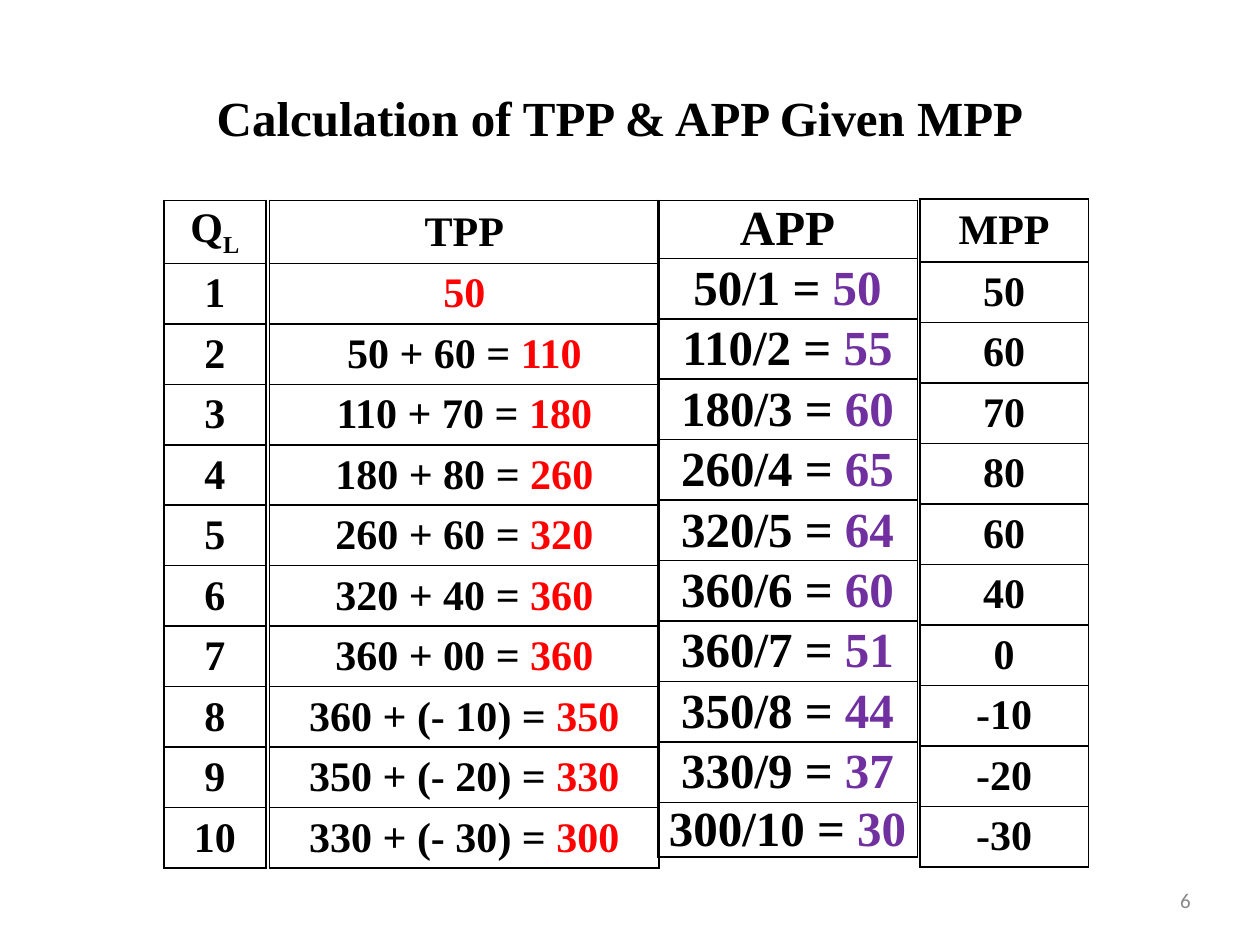
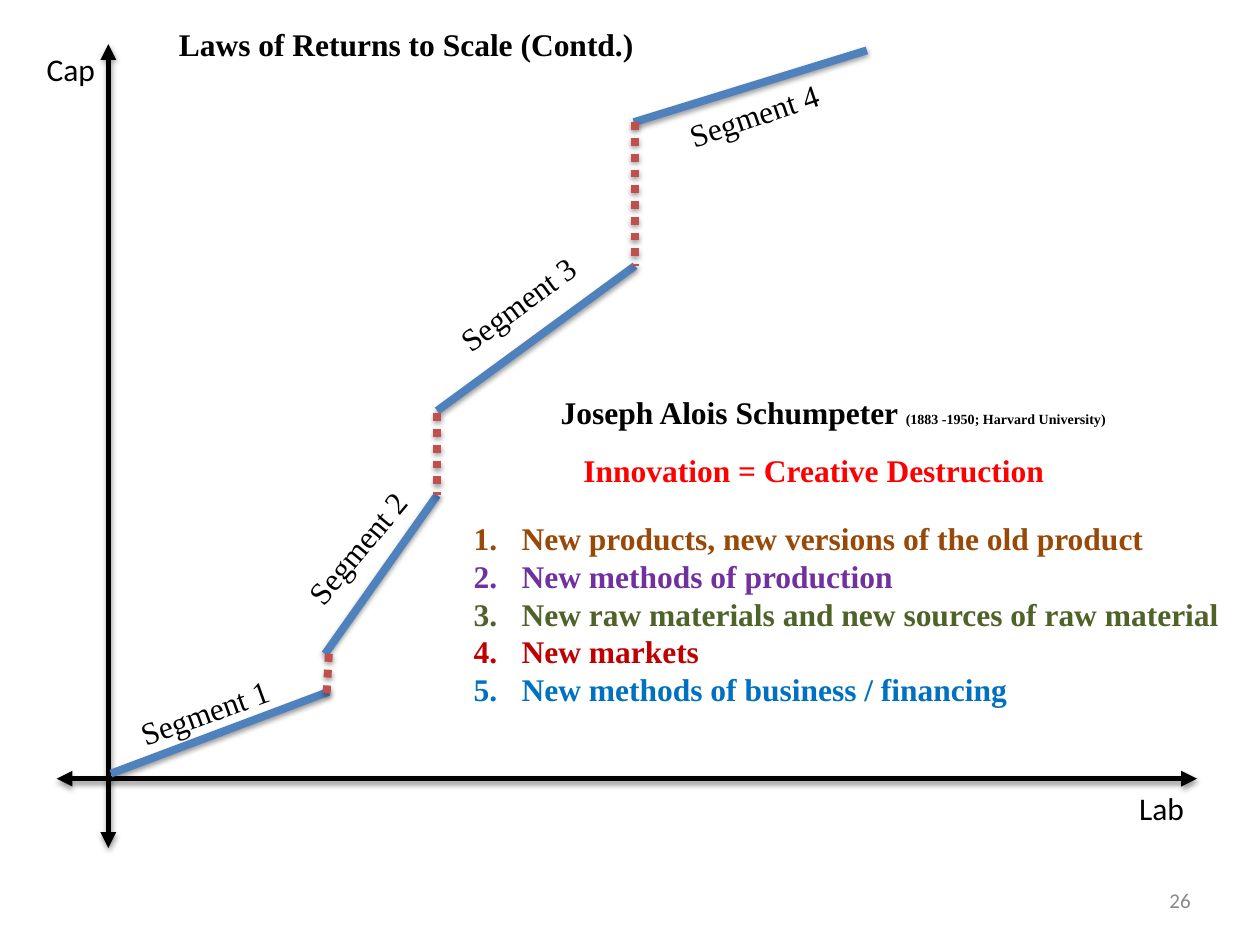
from itertools import accumulate

from lxml.etree import SubElement
from pptx import Presentation
from pptx.dml.color import RGBColor
from pptx.enum.dml import MSO_LINE
from pptx.enum.shapes import MSO_CONNECTOR
from pptx.enum.text import MSO_ANCHOR, MSO_AUTO_SIZE, PP_ALIGN
from pptx.oxml import parse_xml
from pptx.oxml.ns import nsdecls, qn
from pptx.util import Emu, Pt

SCALE = 9144  # EMU per px, 100 px to the inch
SERIF, SANS = "Times New Roman", "Calibri"
BLACK, GREY, RED, PURPLE = "000000", "898989", "FF0000", "7030A0"
BLUE, BRICK = "4F81BD", "C0504D"
SHADOW = (
    f'<a:effectLst {nsdecls("a")}><a:outerShdw blurRad="38100" dist="20320" '
    'dir="5400000" rotWithShape="0"><a:srgbClr val="000000">'
    '<a:alpha val="38000"/></a:srgbClr></a:outerShdw></a:effectLst>'
)


def px(length):
    return Emu(length * SCALE)


def color(hex_string):
    return RGBColor.from_string(hex_string)


class Deck:
    """Holds the shared style and the current slide."""

    def __init__(self):
        self.presentation = Presentation()
        self.presentation.slide_width = px(1000)
        self.presentation.slide_height = px(750)
        self.slide = None

    def start_slide(self, title, box, size, number):
        layout = self.presentation.slide_layouts[5]
        self.slide = self.presentation.slides.add_slide(layout)
        shape = self.slide.shapes.title
        shape.left, shape.top, shape.width, shape.height = map(px, box)
        self.set_frame(shape.text_frame, MSO_ANCHOR.MIDDLE)
        self.add_runs(shape.text_frame.paragraphs[0], [(title, BLACK)], size,
                      align=PP_ALIGN.CENTER)
        self.text(str(number), (921, 700, 29, 29), 12, GREY, SANS, False,
                  align=PP_ALIGN.RIGHT, anchor=MSO_ANCHOR.MIDDLE)

    def set_frame(self, text_frame, anchor):
        text_frame.word_wrap = True
        text_frame.auto_size = MSO_AUTO_SIZE.NONE
        text_frame.vertical_anchor = anchor
        text_frame.margin_left = text_frame.margin_right = px(5)
        text_frame.margin_top = text_frame.margin_bottom = px(5)

    def add_runs(self, paragraph, parts, size, font=SERIF, bold=True,
                 align=PP_ALIGN.LEFT):
        """Each part is a text and its colour."""
        paragraph.alignment = align
        for words, hex_string in parts:
            run = paragraph.add_run()
            run.text = words
            run.font.name = font
            run.font.size = Pt(size)
            run.font.bold = bold
            run.font.color.rgb = color(hex_string)

    def text(self, words, box, size=18, hex_string=BLACK, font=SERIF,
             bold=True, align=PP_ALIGN.LEFT, anchor=MSO_ANCHOR.TOP, rotation=0):
        shape = self.slide.shapes.add_textbox(*map(px, box))
        shape.rotation = rotation
        self.set_frame(shape.text_frame, anchor)
        self.add_runs(shape.text_frame.paragraphs[0], [(words, hex_string)],
                      size, font, bold, align)
        return shape

    def numbered_list(self, items, box):
        shape = self.slide.shapes.add_textbox(*map(px, box))
        text_frame = shape.text_frame
        self.set_frame(text_frame, MSO_ANCHOR.TOP)
        for index, item in enumerate(items):
            paragraph = (text_frame.add_paragraph() if index
                         else text_frame.paragraphs[0])
            properties = paragraph._p.get_or_add_pPr()
            properties.set("marL", str(px(38)))
            properties.set("indent", str(px(-38)))
            SubElement(properties, qn("a:buFont"), typeface="+mj-lt")
            SubElement(properties, qn("a:buAutoNum"), type="arabicPeriod")
            self.add_runs(paragraph, [item], 18)

    def line(self, start, end, hex_string, width, dotted=False, arrows=False):
        connector = self.slide.shapes.add_connector(
            MSO_CONNECTOR.STRAIGHT, *map(px, start + end))
        connector.line.color.rgb = color(hex_string)
        connector.line.width = Pt(width)
        if dotted:
            connector.line.dash_style = MSO_LINE.ROUND_DOT
        if arrows:
            outline = connector.line._get_or_add_ln()
            for tag in ("a:headEnd", "a:tailEnd"):
                SubElement(outline, qn(tag), type="triangle")
        connector._element.spPr.append(parse_xml(SHADOW))

    def column_table(self, rows, left, top, width, heights, size):
        frame = self.slide.shapes.add_table(
            len(rows), 1, px(left), px(top), px(width), px(sum(heights)))
        table = frame.table
        table.first_row = table.horz_banding = False
        table.columns[0].width = px(width)
        for index, (parts, height) in enumerate(zip(rows, heights)):
            table.rows[index].height = px(height)
            cell = table.cell(index, 0)
            cell.fill.background()
            cell.vertical_anchor = MSO_ANCHOR.MIDDLE
            cell.margin_left = cell.margin_right = 0
            cell.margin_top = cell.margin_bottom = 0
            self.add_runs(cell.text_frame.paragraphs[0], parts, size,
                          align=PP_ALIGN.CENTER)
            self.border(cell)
        return table

    def border(self, cell):
        properties = cell._tc.get_or_add_tcPr()
        for position, side in enumerate("LRTB"):
            properties.insert(position, parse_xml(
                f'<a:ln{side} {nsdecls("a")} w="12700"><a:solidFill>'
                f'<a:srgbClr val="{BLACK}"/></a:solidFill></a:ln{side}>'))


def signed(value):
    return f"(- {-value})" if value < 0 else f"{value:02d}"


def product_slide(deck):
    deck.start_slide("Calculation of TPP & APP Given MPP",
                     (67, 58, 850, 70), 28, 6)

    # Totals and averages follow from the marginal products
    marginal = [50, 60, 70, 80, 60, 40, 0, -10, -20, -30]
    totals = list(accumulate(marginal))
    labour_rows = [[("Q", BLACK), ("L", BLACK)]]
    total_rows = [[("TPP", BLACK)], [(str(totals[0]), RED)]]
    average_rows = [[("APP", BLACK)]]
    marginal_rows = [[("MPP", BLACK)]]
    for labour, (extra, total) in enumerate(zip(marginal, totals), 1):
        labour_rows.append([(str(labour), BLACK)])
        marginal_rows.append([(str(extra), BLACK)])
        average_rows.append([(f"{total}/{labour} = ", BLACK),
                             (str(round(total / labour)), PURPLE)])
        if labour > 1:
            total_rows.append([(f"{total - extra} + {signed(extra)} = ", BLACK),
                               (str(total), RED)])

    # Four tables side by side
    heights = [50] + [48] * 10
    labour_table = deck.column_table(labour_rows, 130, 159, 81, heights, 24)
    subscript = labour_table.cell(0, 0).text_frame.paragraphs[0].runs[1]
    subscript.font._element.set("baseline", "-25000")
    deck.column_table(total_rows, 214, 159, 309, heights, 24)
    deck.column_table(average_rows, 522, 159, 206, [46] + [48] * 9 + [43], 28)
    deck.column_table(marginal_rows, 730, 158, 134, heights, 24)


def scale_slide(deck):
    deck.start_slide("Laws of Returns to Scale (Contd.)",
                     (127, 7, 391, 56), 18, 26)

    # Axes
    deck.line((86, 35), (86, 673), BLACK, 3, arrows=True)
    deck.line((950, 618), (45, 618), BLACK, 3, arrows=True)
    deck.text("Lab", (899, 621, 51, 40), font=SANS, bold=False)
    deck.text("Cap", (32, 35, 51, 40), font=SANS, bold=False)

    # Segments of the path and the jumps between them
    segments = [((88, 614), (261, 549)), ((258, 519), (347, 393)),
                ((347, 326), (504, 211)), ((503, 97), (688, 40))]
    jumps = [((261, 519), (259, 555)), ((347, 328), (347, 393)),
             ((504, 97), (504, 211))]
    for start, end in segments:
        deck.line(start, end, BLUE, 4.5)
    for start, end in jumps:
        deck.line(start, end, BRICK, 4.5, dotted=True)

    # Segment labels, turned along the path
    labels = [(104, 544, 340), (224, 412, 309.8),
              (352, 219, 323.5), (540, 70, 341.2)]
    for number, (left, top, rotation) in enumerate(labels, 1):
        deck.text(f"Segment {number}", (left, top, 123, 40), bold=False,
                  rotation=rotation)

    # Schumpeter on innovation
    name = deck.text("Joseph Alois Schumpeter ", (440, 307, 458, 40))
    deck.add_runs(name.text_frame.paragraphs[0],
                  [("(1883 -1950; Harvard University)", BLACK)], 8)
    deck.text("Innovation = Creative Destruction", (458, 353, 388, 40),
              hex_string=RED)
    deck.numbered_list([
        ("New products, new versions of the old product", "984807"),
        ("New methods of production", PURPLE),
        ("New raw materials and new sources of raw material", "4F6228"),
        ("New markets", "C00000"),
        ("New methods of business / financing", "0070C0"),
    ], (371, 407, 612, 162))


def main():
    deck = Deck()
    product_slide(deck)
    scale_slide(deck)
    deck.presentation.save("out.pptx")


if __name__ == "__main__":
    main()
